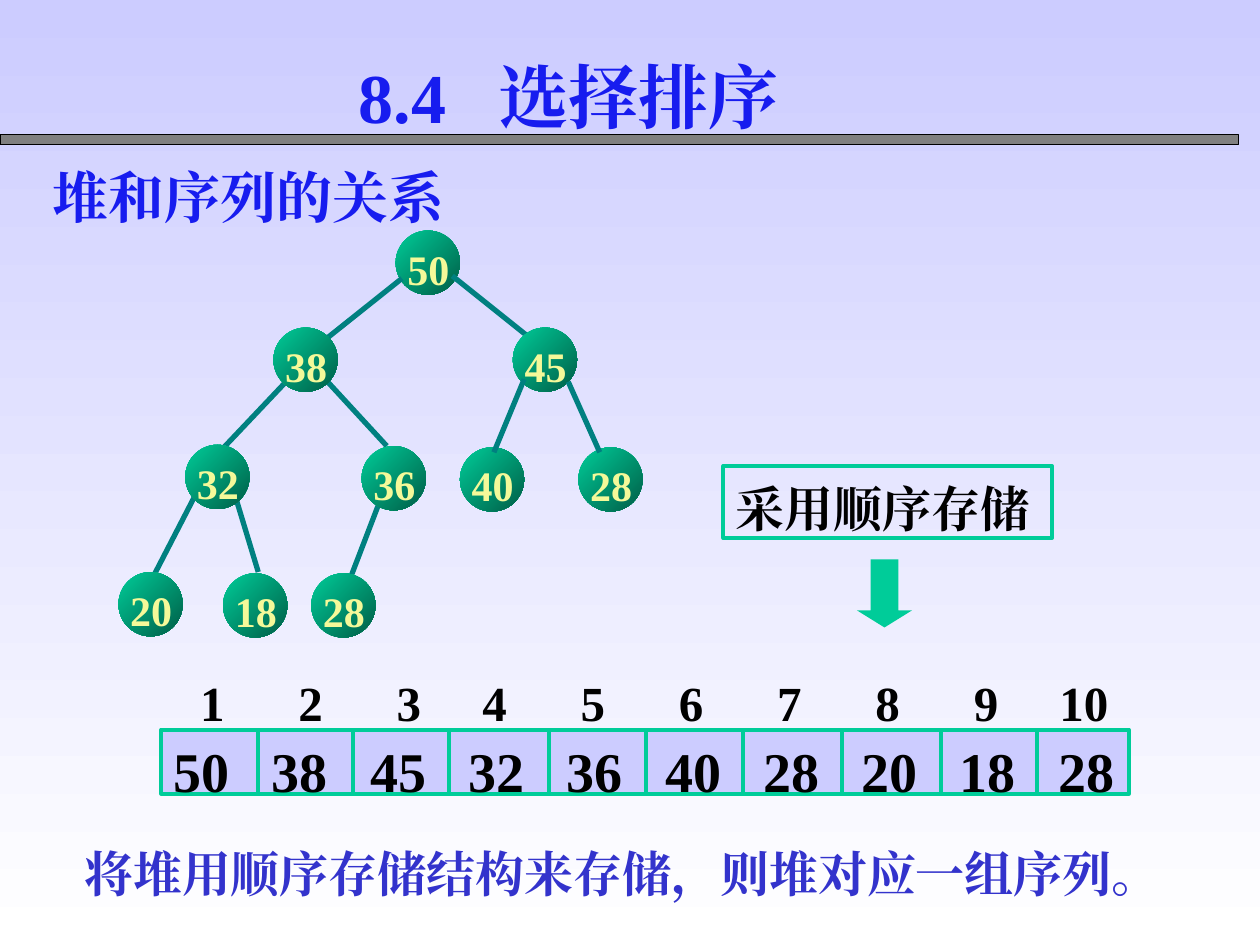
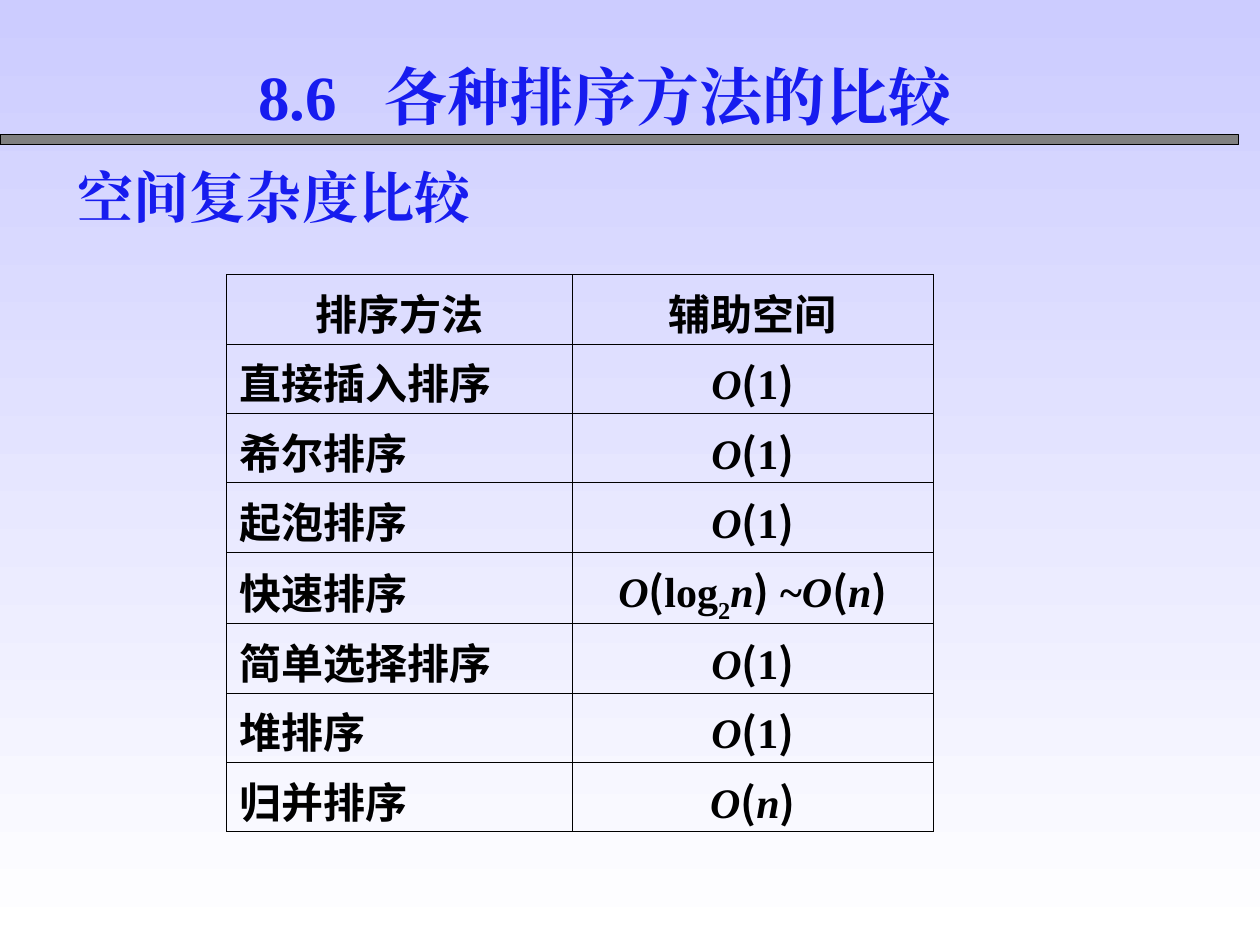
import itertools

import lxml.etree
import pptx
import pptx.dml.color
import pptx.enum.shapes
import pptx.enum.text
import pptx.oxml.ns
import pptx.util

Inches = pptx.util.Inches
Pt = pptx.util.Pt
SHAPE = pptx.enum.shapes.MSO_SHAPE
ALIGN = pptx.enum.text.PP_ALIGN
ANCHOR = pptx.enum.text.MSO_ANCHOR
qn = pptx.oxml.ns.qn

SERIF = "Times New Roman"
SANS = "Noto Sans CJK SC"
TITLE_BLUE = "171CEF"
NOTE_BLUE = "3333CC"
GREEN = "00CC99"
DARK_GREEN = "005E47"
TEAL = "008080"
LAVENDER = "CCCCFF"
NODE_YELLOW = "F4F999"
BLACK = "000000"
BOX_INSETS = (0.1, 0.05, 0.1, 0.05)

NODE_SIZE = 0.51
ROOT = ("50", 3.14, 1.83)
CHILDREN = [
    ("38", 2.17, 2.6), ("45", 4.07, 2.6), ("40", 3.65, 3.55),
    ("28", 4.59, 3.55), ("36", 2.87, 3.54), ("32", 1.47, 3.53),
    ("20", 0.94, 4.54), ("18", 1.77, 4.55), ("28", 2.47, 4.55),
]
EDGES_BEHIND = [
    (3.19, 2.21, 2.6, 2.68), (2.27, 3.03, 1.74, 3.59),
    (2.6, 3.03, 3.07, 3.54), (1.55, 3.93, 1.22, 4.57),
    (3.01, 3.99, 2.73, 4.72), (1.88, 3.98, 2.05, 4.54),
    (3.59, 2.19, 4.19, 2.67),
]
EDGES_IN_FRONT = [(4.16, 3.01, 3.92, 3.59), (4.51, 3.03, 4.76, 3.59)]

HEAP_VALUES = ["50", "38", "45", "32", "36", "40", "28", "20", "18", "28"]
DIVIDERS = [2.05, 2.8, 3.56, 4.36, 5.13, 5.9, 6.68, 7.47, 8.23]
VALUE_GAP = 0.78
INDEX_GAPS = [VALUE_GAP, VALUE_GAP, 0.68] + [VALUE_GAP] * 5 + [0.68]

CONSTANT = ["O", "(", "1", ")"]
LINEAR = ["O", "(", "n", ")"]
LOGARITHMIC = ["O", "(", "log", "2", "n", ")"]
METHODS = [
    ("直接插入排序", CONSTANT),
    ("希尔排序", CONSTANT),
    ("起泡排序", CONSTANT),
    ("快速排序", LOGARITHMIC + [" ~"] + LINEAR),
    ("简单选择排序", CONSTANT),
    ("堆排序", CONSTANT),
    ("归并排序", LINEAR),
]


def color(hex_value):
    return pptx.dml.color.RGBColor.from_string(hex_value)


def fill_gradient(fill, start, end, angle):
    fill.gradient()
    fill.gradient_angle = angle
    for stop, hex_value, position in zip(fill.gradient_stops, (start, end), (0, 1)):
        stop.color.rgb = color(hex_value)
        stop.position = position


def format_run(run, size, hex_value, font=SERIF, east_asian=SERIF):
    run.font.size = Pt(size)
    run.font.bold = True
    run.font.name = font
    run.font.color.rgb = color(hex_value)
    properties = run.font._element
    properties.set("lang", "zh-CN")
    element = lxml.etree.Element(qn("a:ea"), typeface=east_asian)
    properties.find(qn("a:latin")).addnext(element)


def add_text_shadow(run):
    effects = lxml.etree.Element(qn("a:effectLst"))
    shadow = lxml.etree.SubElement(
        effects, qn("a:outerShdw"), dist="28398", dir="2700000")
    lxml.etree.SubElement(shadow, qn("a:srgbClr"), val="808080")
    run.font._element.find(qn("a:solidFill")).addnext(effects)


def set_tabs(paragraph, stops):
    tab_list = lxml.etree.SubElement(
        paragraph._p.get_or_add_pPr(), qn("a:tabLst"))
    for stop in stops:
        lxml.etree.SubElement(
            tab_list, qn("a:tab"), pos=str(int(Inches(stop))), algn="l")


def write_text(shape, text, size, hex_value, font=SERIF, align=ALIGN.LEFT,
               insets=BOX_INSETS, tabs=()):
    frame = shape.text_frame
    frame.word_wrap = True
    frame.vertical_anchor = ANCHOR.TOP
    (frame.margin_left, frame.margin_top,
     frame.margin_right, frame.margin_bottom) = map(Inches, insets)
    frame.text = text
    paragraph = frame.paragraphs[0]
    paragraph.alignment = align
    paragraph.line_spacing = 1.1
    if tabs:
        set_tabs(paragraph, tabs)
    for run in paragraph.runs:
        format_run(run, size, hex_value, font)
    return paragraph


def add_text(slide, box, text, size, hex_value, **options):
    text_box = slide.shapes.add_textbox(*map(Inches, box))
    return write_text(text_box, text, size, hex_value, **options)


def add_shape(slide, kind, box, fill=None, line=None, width=2.25):
    shape = slide.shapes.add_shape(kind, *map(Inches, box))
    shape.shadow.inherit = False
    if fill:
        shape.fill.solid()
        shape.fill.fore_color.rgb = color(fill)
    else:
        shape.fill.background()
    if line:
        shape.line.color.rgb = color(line)
        shape.line.width = Pt(width)
    else:
        shape.line.fill.background()
    return shape


def add_line(slide, ends, hex_value, width):
    connector = slide.shapes.add_connector(
        pptx.enum.shapes.MSO_CONNECTOR.STRAIGHT, *map(Inches, ends))
    connector.line.color.rgb = color(hex_value)
    connector.line.width = Pt(width)
    lxml.etree.SubElement(connector._element.spPr, qn("a:effectLst"))


def add_node(slide, value, left, top):
    circle = add_shape(slide, SHAPE.OVAL, (left, top, NODE_SIZE, NODE_SIZE))
    fill_gradient(circle.fill, GREEN, DARK_GREEN, 315)
    add_text(slide, (left - 0.04, top + 0.03, 0.59, 0.44), value, 24,
             NODE_YELLOW, align=ALIGN.CENTER, insets=(0.01, 0.03, 0, 0.01))


def start_slide(presentation, heading, heading_box):
    slide = presentation.slides.add_slide(presentation.slide_layouts[6])
    fill_gradient(slide.background.fill, LAVENDER, "FFFFFF", 270)
    add_shape(slide, SHAPE.RECTANGLE, (0, 1.07, 9.83, 0.08),
              "808080", BLACK, 0.75)
    add_text(slide, heading_box, heading, 32, TITLE_BLUE)
    return slide


def add_title(slide, text, box, size, tab):
    return add_text(slide, box, text, size, TITLE_BLUE, tabs=[tab])


def add_heap_tree(slide):
    add_node(slide, *ROOT)
    for ends in EDGES_BEHIND:
        add_line(slide, ends, TEAL, 3)
    for child in CHILDREN:
        add_node(slide, *child)
    for ends in EDGES_IN_FRONT:
        add_line(slide, ends, TEAL, 3)


def add_heap_array(slide):
    array = add_shape(slide, SHAPE.RECTANGLE, (1.28, 5.79, 7.68, 0.51),
                      LAVENDER, GREEN)
    value_tabs = [VALUE_GAP * i for i in range(1, len(HEAP_VALUES))]
    write_text(array, "\t".join(HEAP_VALUES), 32, BLACK,
               insets=(0.1, 0, 0, 0), tabs=value_tabs)
    for x in DIVIDERS:
        add_line(slide, (x, 5.79, x, 6.29), GREEN, 2.25)
    indexes = "\t".join(str(i + 1) for i in range(len(HEAP_VALUES)))
    add_text(slide, (1.49, 5.29, 7.56, 0.47), indexes, 28, BLACK,
             insets=(0.1, 0, 0.1, 0),
             tabs=itertools.accumulate(INDEX_GAPS))


def add_storage_label(slide):
    label = add_shape(slide, SHAPE.RECTANGLE, (5.74, 3.7, 2.61, 0.57),
                      line=GREEN)
    write_text(label, "采用顺序存储", 28, BLACK)
    arrow = add_shape(slide, SHAPE.DOWN_ARROW, (6.8, 4.44, 0.44, 0.54), GREEN)
    arrow.adjustments[0] = 0.5
    arrow.adjustments[1] = 0.31


def set_borders(cell):
    properties = cell._tc.get_or_add_tcPr()
    for position, side in enumerate(("a:lnL", "a:lnR", "a:lnT", "a:lnB")):
        border = lxml.etree.Element(qn(side), w=str(int(Pt(0.45))))
        fill = lxml.etree.SubElement(border, qn("a:solidFill"))
        lxml.etree.SubElement(fill, qn("a:srgbClr"), val=BLACK)
        properties.insert(position, border)


def write_cell(cell, tokens, align):
    cell.fill.background()
    set_borders(cell)
    cell.vertical_anchor = ANCHOR.MIDDLE
    cell.margin_top = cell.margin_bottom = 0
    paragraph = cell.text_frame.paragraphs[0]
    paragraph.alignment = align
    paragraph.line_spacing = 1.1
    for token in tokens:
        run = paragraph.add_run()
        run.text = token
        format_run(run, 24, BLACK, SANS if token in "()" else SERIF, SANS)
        if token in ("O", "n"):
            run.font.italic = True
        if token == "2":
            run.font._element.set("baseline", "-30000")


def add_space_table(slide):
    rows = [("排序方法", ["辅助空间"])] + METHODS
    table = slide.shapes.add_table(
        len(rows), 2, Inches(1.8), Inches(2.18), Inches(5.61), Inches(4.42)).table
    table.first_row = False
    table.horz_banding = False
    for column, width in zip(table.columns, (2.74, 2.87)):
        column.width = Inches(width)
    for i, (method, space) in enumerate(rows):
        table.rows[i].height = Inches(0.57 if "log" in space else 0.55)
        write_cell(table.cell(i, 0), [method], ALIGN.LEFT if i else ALIGN.CENTER)
        write_cell(table.cell(i, 1), space, ALIGN.CENTER)


def build_heap_slide(presentation):
    slide = start_slide(presentation, "堆和序列的关系", (0.32, 1.19, 3.99, 0.64))
    add_text(slide, (0.57, 6.6, 9.1, 0.57),
             "将堆用顺序存储结构来存储，则堆对应一组序列。", 28, NOTE_BLUE, font="Arial")
    add_heap_tree(slide)
    add_heap_array(slide)
    add_storage_label(slide)
    title = add_title(slide, "8.4\t选择排序", (2.75, 0.31, 3.99, 0.77), 40, 1.11)
    for run in title.runs:
        add_text_shadow(run)


def build_comparison_slide(presentation):
    slide = start_slide(presentation, "空间复杂度比较", (0.52, 1.19, 3.92, 0.64))
    add_title(slide, "8.6\t各种排序方法的比较", (1.95, 0.35, 5.76, 0.7), 36, 1)
    add_space_table(slide)


def main():
    presentation = pptx.Presentation()
    presentation.slide_width = Inches(10)
    presentation.slide_height = Inches(7.5)
    build_heap_slide(presentation)
    build_comparison_slide(presentation)
    presentation.save("out.pptx")


if __name__ == "__main__":
    main()
